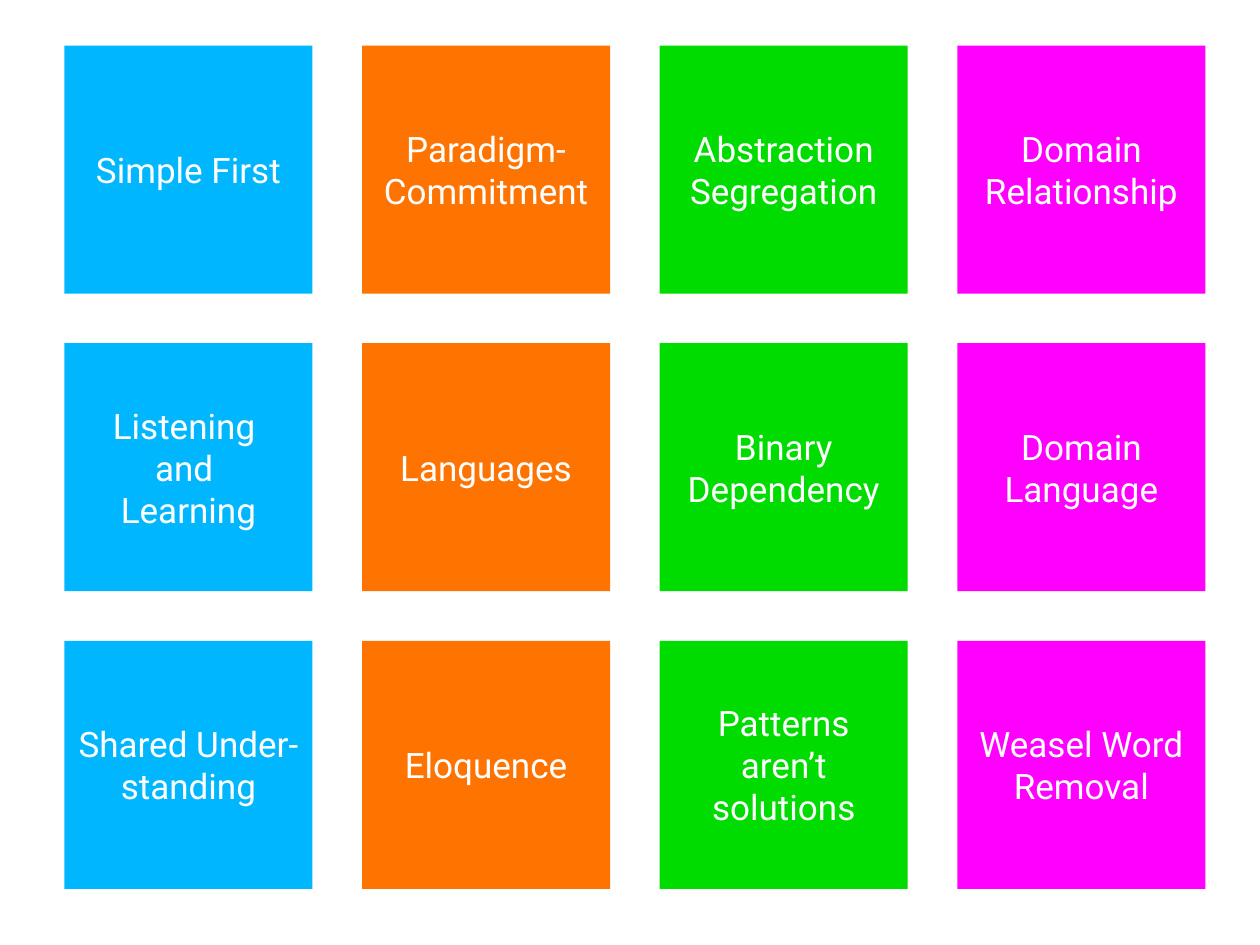
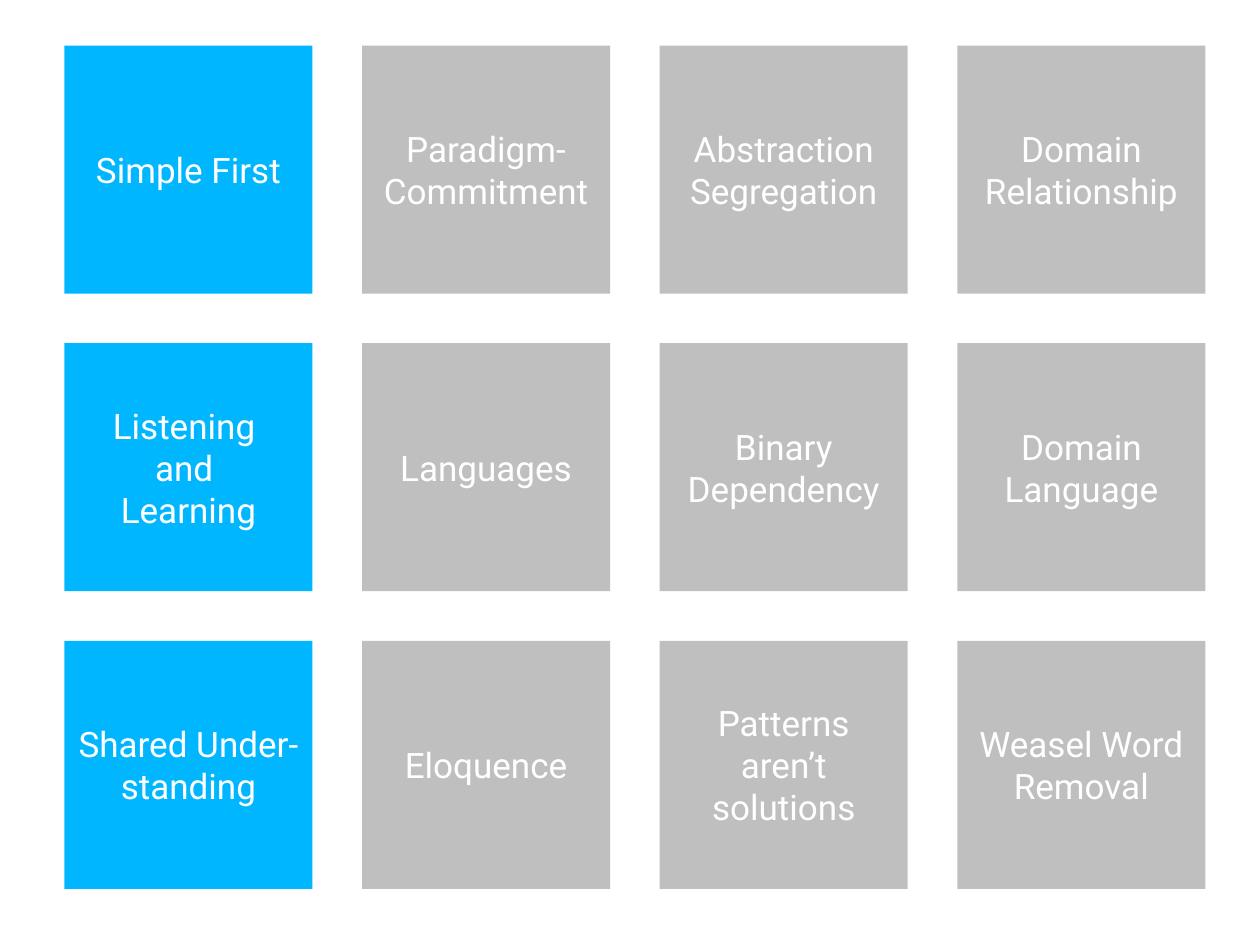
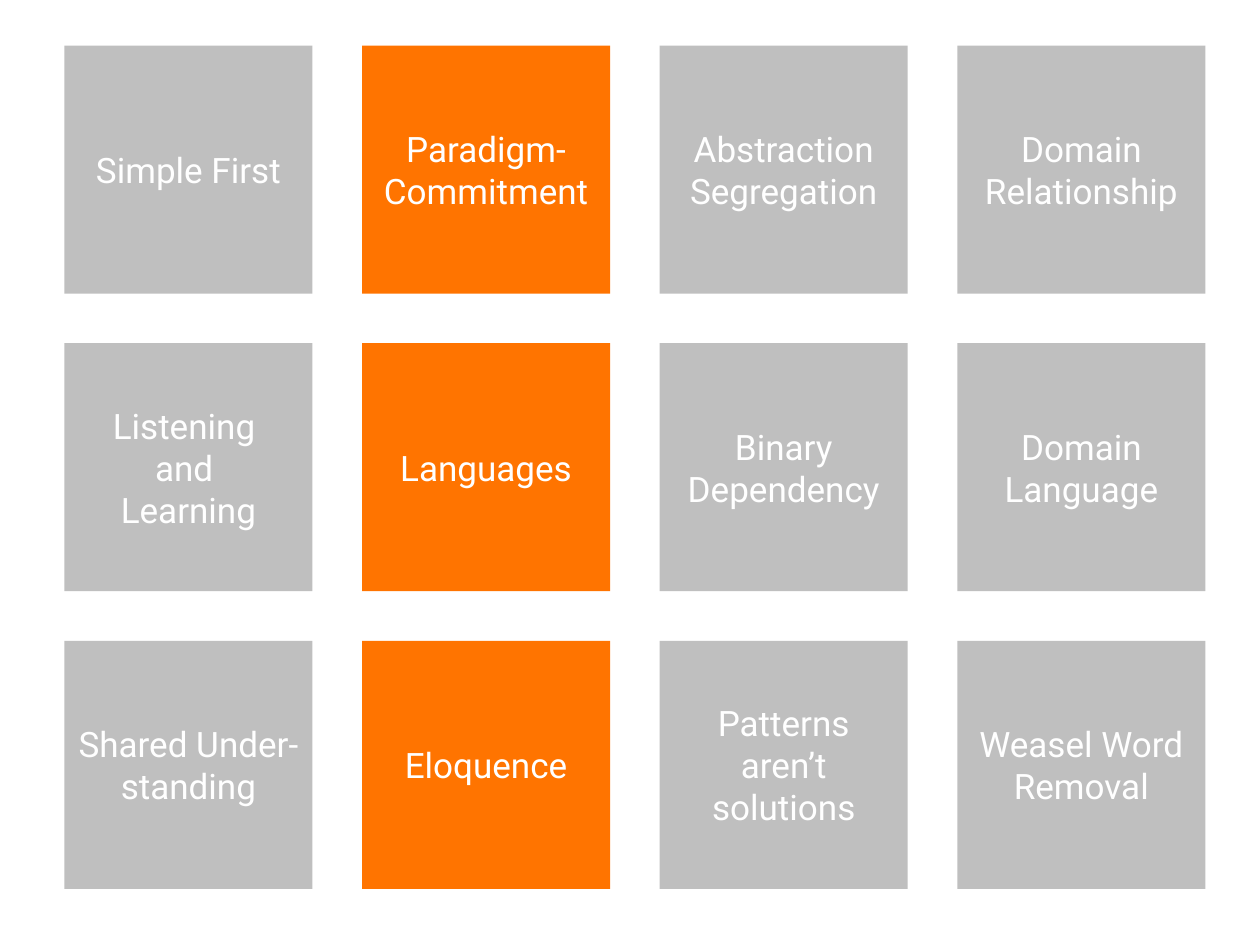
from pptx import Presentation
from pptx.dml.color import RGBColor
from pptx.enum import shapes, text
from pptx.util import Cm, Inches, Pt

BLUE = RGBColor(0x00, 0xB7, 0xFF)
ORANGE = RGBColor(0xFF, 0x74, 0x00)
GREEN = RGBColor(0x00, 0xDB, 0x00)
MAGENTA = RGBColor(0xFF, 0x00, 0xFF)
GREY = RGBColor(0xBF, 0xBF, 0xBF)
WHITE = RGBColor(0xFF, 0xFF, 0xFF)

COLUMNS = [
    (BLUE, ["Simple First", "Listening \nand \nLearning", "Shared Under-standing"]),
    (ORANGE, ["Paradigm-Commitment", "Languages", "Eloquence"]),
    (GREEN, ["Abstraction Segregation", "Binary Dependency", "Patterns aren’t solutions"]),
    (MAGENTA, ["Domain Relationship", "Domain Language", "Weasel Word Removal"]),
]


class Deck:
    font = "Roboto"
    size = Pt(20)
    left, top = Cm(1.3), Cm(0.92)
    side, pitch = Cm(5), Cm(6)

    def __init__(self):
        self.prs = Presentation()
        self.prs.slide_width = Inches(10)
        self.prs.slide_height = Inches(7.5)
        self.s = None

    def slide(self):
        self.s = self.prs.slides.add_slide(self.prs.slide_layouts[6])
        self.s.background.fill.solid()
        self.s.background.fill.fore_color.rgb = WHITE

    def tile(self, col, row, label, color):
        sp = self.s.shapes.add_shape(
            shapes.MSO_SHAPE.RECTANGLE,
            self.left + col * self.pitch, self.top + row * self.pitch,
            self.side, self.side)
        sp.shadow.inherit = False
        sp.fill.solid()
        sp.fill.fore_color.rgb = color
        sp.line.fill.background()
        tf = sp.text_frame
        tf.word_wrap = True
        tf.vertical_anchor = text.MSO_ANCHOR.MIDDLE
        p = tf.paragraphs[0]
        p.alignment = text.PP_ALIGN.CENTER
        for i, line in enumerate(label.split("\n")):
            if i:
                p.add_line_break()
            r = p.add_run()
            r.text = line
            r.font.name = self.font
            r.font.size = self.size
            r.font.color.rgb = WHITE

    def grid(self, active):
        self.slide()
        for col, (color, labels) in enumerate(COLUMNS):
            for row, label in enumerate(labels):
                self.tile(col, row, label, color if color in active else GREY)


def main():
    deck = Deck()
    for active in ([BLUE, ORANGE, GREEN, MAGENTA], [BLUE], [ORANGE]):
        deck.grid(active)
    deck.prs.save("out.pptx")


if __name__ == "__main__":
    main()
